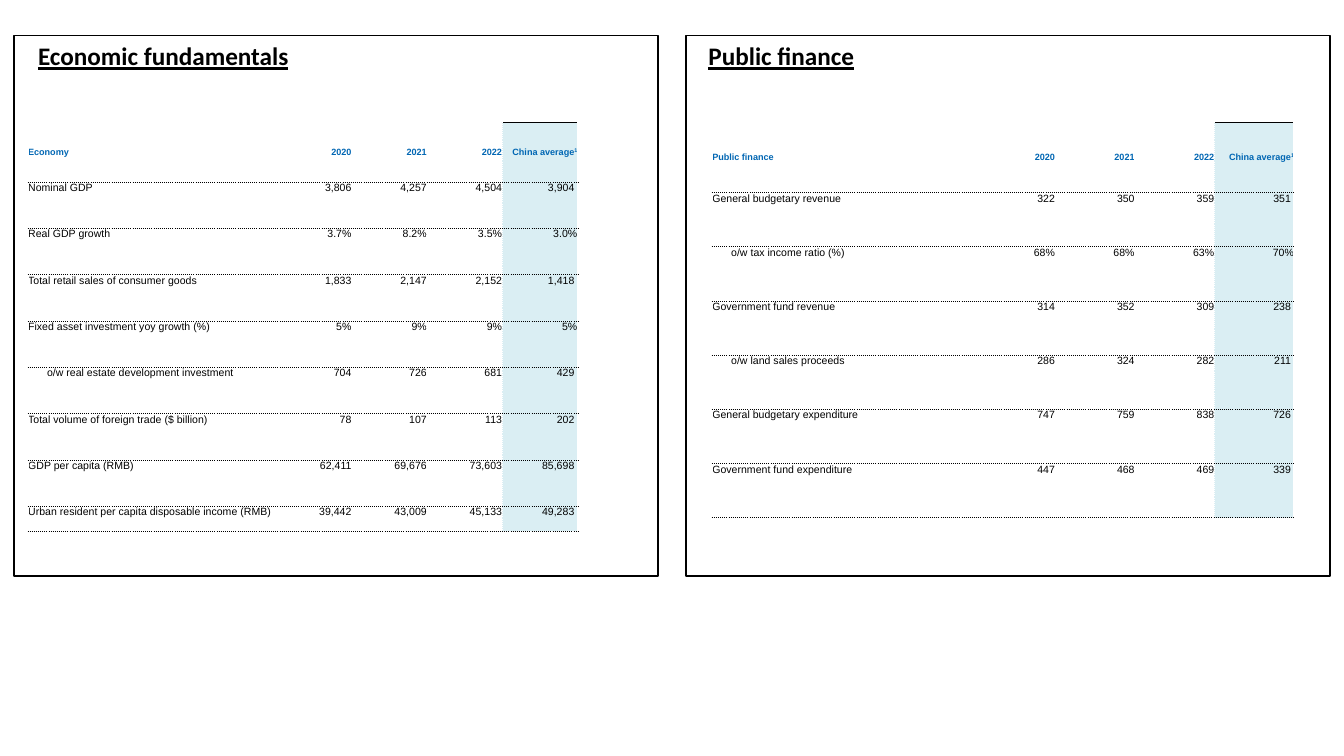
from pptx import Presentation
from pptx.dml.color import RGBColor
from pptx.enum.shapes import MSO_SHAPE
from pptx.enum.text import MSO_ANCHOR, MSO_AUTO_SIZE, PP_ALIGN
from pptx.oxml import parse_xml
from pptx.oxml.ns import nsdecls
from pptx.util import Pt

BLACK, WHITE, BLUE, PALE = "000000", "FFFFFF", "0066B3", "DAEEF3"
TITLE = dict(name="Calibri", size=Pt(18), bold=True, underline=True)
HEAD = dict(name="Arial", size=Pt(6.5), bold=True)
BODY = dict(name="Arial", size=Pt(7.5), bold=False)
YEARS = ["2020", "2021", "2022", "China average"]

ECONOMY = [
    ["Economy", *YEARS],
    ["Nominal GDP", "3,806", "4,257", "4,504", "3,904"],
    ["Real GDP growth", "3.7%", "8.2%", "3.5%", "3.0%"],
    ["Total retail sales of consumer goods", "1,833", "2,147", "2,152", "1,418"],
    ["Fixed asset investment yoy growth (%)", "5%", "9%", "9%", "5%"],
    ["o/w real estate development investment", "704", "726", "681", "429"],
    ["Total volume of foreign trade ($ billion)", "78", "107", "113", "202"],
    ["GDP per capita (RMB)", "62,411", "69,676", "73,603", "85,698"],
    ["Urban resident per capita disposable income (RMB)",
     "39,442", "43,009", "45,133", "49,283"],
]
FINANCE = [
    ["Public finance", *YEARS],
    ["General budgetary revenue", "322", "350", "359", "351"],
    ["o/w tax income ratio (%)", "68%", "68%", "63%", "70%"],
    ["Government fund revenue", "314", "352", "309", "238"],
    ["o/w land sales proceeds", "286", "324", "282", "211"],
    ["General budgetary expenditure", "747", "759", "838", "726"],
    ["Government fund expenditure", "447", "468", "469", "339"],
]


def color(code):
    return RGBColor.from_string(code)


def edge(cell, side, code, dash="sysDot"):
    """Draw a half-point border on one side (L, R, T or B) of a cell."""
    cell._tc.get_or_add_tcPr().append(parse_xml(
        f'<a:ln{side} {nsdecls("a")} w="6350"><a:solidFill>'
        f'<a:srgbClr val="{code}"/></a:solidFill>'
        f'<a:prstDash val="{dash}"/></a:ln{side}>'))


class Board:
    def __init__(self, slide):
        self.slide = slide

    def label(self, para, text, style, code):
        run = para.add_run()
        run.text = text
        for key, value in style.items():
            setattr(run.font, key, value)
        run.font.color.rgb = color(code)
        return run

    def frame(self, left):
        box = self.slide.shapes.add_shape(
            MSO_SHAPE.RECTANGLE, Pt(left), Pt(25.4), Pt(460), Pt(386))
        box.shadow.inherit = False
        box.fill.background()
        box.line.color.rgb = color(BLACK)
        box.line.width = Pt(1)

    def title(self, left, text):
        box = self.slide.shapes.add_textbox(Pt(left), Pt(25.4), Pt(348.5), Pt(29))
        box.text_frame.word_wrap = True
        box.text_frame.auto_size = MSO_AUTO_SIZE.SHAPE_TO_FIT_TEXT
        self.label(box.text_frame.paragraphs[0], text, TITLE, BLACK)

    def table(self, left, data, widths, heights):
        grid = self.slide.shapes.add_table(
            len(data), len(widths), Pt(left), Pt(87.1),
            Pt(sum(widths)), Pt(sum(heights))).table
        grid.first_row = grid.horz_banding = False
        for column, width in zip(grid.columns, widths):
            column.width = Pt(width)
        for row, height in zip(grid.rows, heights):
            row.height = Pt(height)
        for r, texts in enumerate(data):
            for c, text in enumerate(texts):
                self.cell(grid.cell(r, c), r, c, text)

    def cell(self, cell, row, col, text):
        head, last = row == 0, col == len(YEARS)
        inset = 13.5 if text.startswith("o/w") else 0
        # Counts in the last column stand slightly left of the percentages.
        gap = 2.1 if last and not head and "%" not in text else 0
        form = dict(margin_left=Pt(inset), margin_right=Pt(gap),
                    margin_top=0, margin_bottom=0,
                    vertical_anchor=MSO_ANCHOR.MIDDLE if head else MSO_ANCHOR.TOP)
        for key, value in form.items():
            setattr(cell, key, value)

        para = cell.text_frame.paragraphs[0]
        para.alignment = PP_ALIGN.RIGHT if col else PP_ALIGN.LEFT
        style, code = (HEAD, BLUE) if head else (BODY, BLACK)
        self.label(para, text, style, code)
        if head and last:
            note = self.label(para, "1", style, code)
            note._r.get_or_add_rPr().set("baseline", "30000")

        if col:
            edge(cell, "L", WHITE)
        if not last:
            edge(cell, "R", WHITE)
        if not head:
            edge(cell, "T", BLACK)
        elif last:
            edge(cell, "T", BLACK, "solid")
        edge(cell, "B", BLACK)
        if last:
            cell.fill.solid()
            cell.fill.fore_color.rgb = color(PALE)
        else:
            cell.fill.background()


def main():
    deck = Presentation()
    deck.slide_width, deck.slide_height = Pt(960), Pt(540)
    board = Board(deck.slides.add_slide(deck.slide_layouts[6]))

    board.frame(10)
    board.title(20.1, "Economic fundamentals")
    board.table(20.1, ECONOMY, [177.2] + [53.8] * 4, [43] + [33.1] * 7 + [17.6])

    board.frame(490)
    board.title(499, "Public finance")
    board.table(508.8, FINANCE, [187.9] + [56.9] * 4, [50.5] + [38.7] * 6)

    deck.save("out.pptx")


if __name__ == "__main__":
    main()
